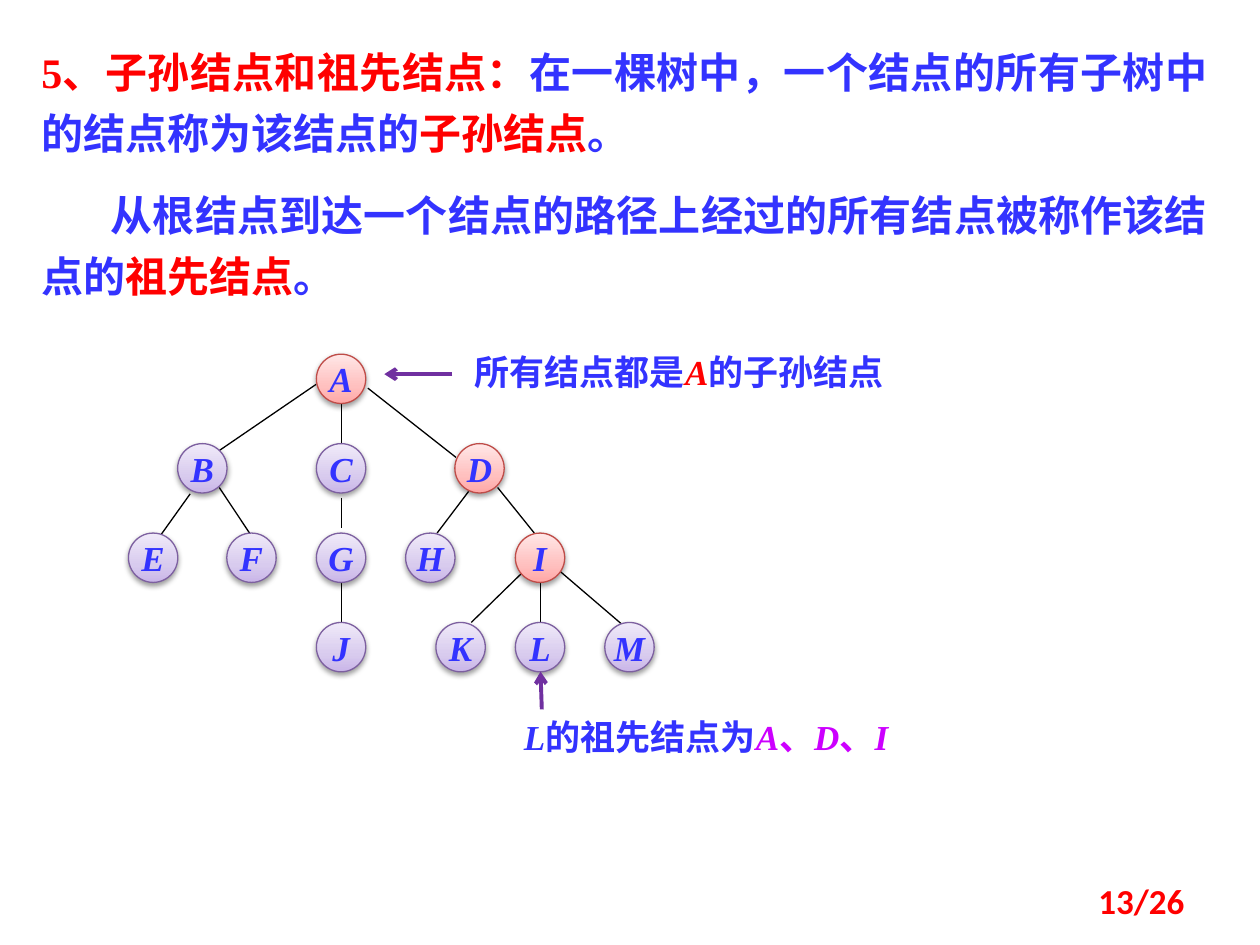
from lxml import etree
from pptx import Presentation
from pptx.dml.color import RGBColor
from pptx.enum.shapes import MSO_CONNECTOR, MSO_SHAPE
from pptx.enum.text import MSO_ANCHOR, MSO_AUTO_SIZE, PP_ALIGN
from pptx.oxml import parse_xml
from pptx.oxml.ns import nsdecls, qn
from pptx.util import Pt

BLUE = RGBColor(0x33, 0x33, 0xFF)
RED = RGBColor(0xFF, 0x00, 0x00)
MAGENTA = RGBColor(0xCC, 0x00, 0xFF)
PURPLE = RGBColor(0x70, 0x30, 0xA0)
BLACK = RGBColor(0x00, 0x00, 0x00)
# Node looks: outline, then gradient colours from bottom to top
PLAIN = (RGBColor(0x7D, 0x60, 0xA0), RGBColor(0xC9, 0xB5, 0xE8),
         RGBColor(0xD8, 0xCB, 0xEE), RGBColor(0xF0, 0xEA, 0xF9))
ANCESTOR = (RGBColor(0xBF, 0x4C, 0x48), RGBColor(0xFF, 0xA6, 0xA5),
            RGBColor(0xFF, 0xC0, 0xBF), RGBColor(0xFF, 0xE7, 0xE7))

LATIN, CJK, NUMBER = "Times New Roman", "Noto Sans CJK SC", "Calibri"

DIAMETER, ROW_PITCH = 28.2, 51.1
ROWS = [  # label and left of each node, level by level
    [("A", 107.4)],
    [("B", 28.1), ("C", 107.4), ("D", 186.5)],
    [("E", 0), ("F", 56.2), ("G", 107.4), ("H", 158.4), ("I", 221.1)],
    [("J", 107.4), ("K", 175.7), ("L", 221.1), ("M", 272.2)],
]
ANCESTORS_OF_L = "ADI"
EDGES = {  # x1, y1, x2, y2 within the tree box
    "AB": (107.3, 17.2, 50.4, 56.1),
    "AC": (121.7, 28.7, 121.7, 51),
    "AD": (136.8, 19.4, 187.2, 59),
    "BE": (35.3, 79.8, 18.8, 102.9),
    "BF": (51.9, 76.2, 69.2, 102.2),
    "CG": (121.7, 82, 121.7, 99.3),
    "DH": (194.4, 78.4, 176.4, 102.2),
    "DI": (211, 76.2, 231.9, 102.2),
    "GJ": (121.7, 130.2, 121.7, 153.3),
    "IK": (224.7, 125.2, 195.9, 153.3),
    "IL": (235.5, 130.2, 235.5, 153.3),
    "IM": (246.3, 123.8, 281.6, 154),
}


def set_attrs(obj, values):
    for name, value in values.items():
        setattr(obj, name, value)


def add_run(p, text, color, size, name=LATIN, bold=True, italic=False):
    r = p.add_run()
    r.text = text
    r.font.color.rgb = color
    set_attrs(r.font, {"size": Pt(size), "name": name,
                       "bold": bold, "italic": italic})
    ea = etree.SubElement(r.font._element, qn("a:ea"))
    ea.set("typeface", CJK)


def add_text_box(s, box, **frame):
    tf = s.shapes.add_textbox(*map(Pt, box)).text_frame
    set_attrs(tf, {"word_wrap": True, **frame})
    return tf


def add_line(s, x1, y1, x2, y2, color=BLACK, width=0.75, arrow=False):
    line = s.shapes.add_connector(MSO_CONNECTOR.STRAIGHT,
                                  *map(Pt, (x1, y1, x2, y2)))
    line.line.color.rgb = color
    line.line.width = Pt(width)
    if arrow:
        tail = etree.SubElement(line.line._get_or_add_ln(), qn("a:tailEnd"))
        tail.set("type", "arrow")
    etree.SubElement(line._element.spPr, qn("a:effectLst"))


def add_definitions(s, box):
    tf = add_text_box(s, box, auto_size=MSO_AUTO_SIZE.SHAPE_TO_FIT_TEXT)
    paragraphs = [
        [("5、", RED, LATIN), ("子孙结点和祖先结点：", RED, CJK),
         ("在一棵树中，一个结点的所有子树中的结点称为该结点的", BLUE, LATIN),
         ("子孙结点", RED, LATIN), ("。", BLUE, LATIN)],
        [("从根结点到达一个结点的路径上经过的所有结点被称作该结点的", BLUE, LATIN),
         ("祖先结点", RED, LATIN), ("。", BLUE, LATIN)],
    ]
    for i, runs in enumerate(paragraphs):
        p = tf.add_paragraph() if i else tf.paragraphs[0]
        set_attrs(p, {"alignment": PP_ALIGN.JUSTIFY, "line_spacing": Pt(35)})
        if i:
            p.space_before = Pt(12)
            p._p.get_or_add_pPr().set("indent", str(Pt(39.6)))
        for text, color, name in runs:
            add_run(p, text, color, 24, name)


def add_node(s, label, x, y):
    outline, *shades = ANCESTOR if label in ANCESTORS_OF_L else PLAIN
    node = s.shapes.add_shape(MSO_SHAPE.OVAL,
                              *map(Pt, (x, y, DIAMETER, DIAMETER)))
    node.line.color.rgb = outline
    node.line.width = Pt(0.75)
    stops = "".join(
        f'<a:gs pos="{pos}"><a:srgbClr val="{shade}"/></a:gs>'
        for pos, shade in zip((0, 35000, 100000), shades))
    gradient = parse_xml(
        f'<a:gradFill {nsdecls("a")} rotWithShape="1"><a:gsLst>{stops}</a:gsLst>'
        '<a:lin ang="16200000" scaled="1"/></a:gradFill>')
    shadow = parse_xml(
        f'<a:effectLst {nsdecls("a")}><a:outerShdw blurRad="{Pt(3.1)}" '
        f'dist="{Pt(1.6)}" dir="5400000" rotWithShape="0">'
        '<a:srgbClr val="000000"><a:alpha val="38000"/></a:srgbClr>'
        '</a:outerShdw></a:effectLst>')
    sp_pr = node._element.spPr
    sp_pr.find(qn("a:prstGeom")).addnext(gradient)
    sp_pr.append(shadow)
    tf = node.text_frame
    set_attrs(tf, {"word_wrap": False, "vertical_anchor": MSO_ANCHOR.MIDDLE})
    p = tf.paragraphs[0]
    p.alignment = PP_ALIGN.CENTER
    add_run(p, label, BLUE, 20, italic=True)


def add_tree(s, left, top):
    for x1, y1, x2, y2 in EDGES.values():
        add_line(s, left + x1, top + y1, left + x2, top + y2)
    for level, row in enumerate(ROWS):
        for label, x in row:
            add_node(s, label, left + x, top + level * ROW_PITCH)


def add_note(s, box, runs, arrow):
    """Place a remark of (text, colour, italic) runs and its arrow."""
    tf = add_text_box(s, box, auto_size=MSO_AUTO_SIZE.SHAPE_TO_FIT_TEXT)
    for text, color, italic in runs:
        add_run(tf.paragraphs[0], text, color, 20, italic=italic)
    add_line(s, *arrow, color=PURPLE, width=2.25, arrow=True)


def add_page_number(s, box):
    tf = add_text_box(s, box, vertical_anchor=MSO_ANCHOR.MIDDLE)
    p = tf.paragraphs[0]
    p.alignment = PP_ALIGN.RIGHT
    add_run(p, "13/26", RED, 20, NUMBER)


def main():
    prs = Presentation()
    set_attrs(prs, {"slide_width": Pt(720), "slide_height": Pt(540)})
    s = prs.slides.add_slide(prs.slide_layouts[6])
    add_definitions(s, (16.6, 16.6, 680.4, 163.4))
    add_tree(s, 73.4, 202.4)
    add_note(s, (264.2, 196.6, 264.2, 31.7),
             [("所有结点都是", BLUE, False), ("A", RED, True),
              ("的子孙结点", BLUE, False)],
             (258.5, 213.8, 219.6, 213.8))
    add_note(s, (292.3, 405.4, 264.2, 31.7),
             [("L", BLUE, True), ("的祖先结点为", BLUE, False),
              ("A", MAGENTA, True), ("、", MAGENTA, False),
              ("D", MAGENTA, True), ("、", MAGENTA, False),
              ("I", MAGENTA, True)],
             (309.6, 405.4, 308.9, 383.8))
    add_page_number(s, (516.2, 500.4, 167.8, 28.8))
    prs.save("out.pptx")


if __name__ == "__main__":
    main()
